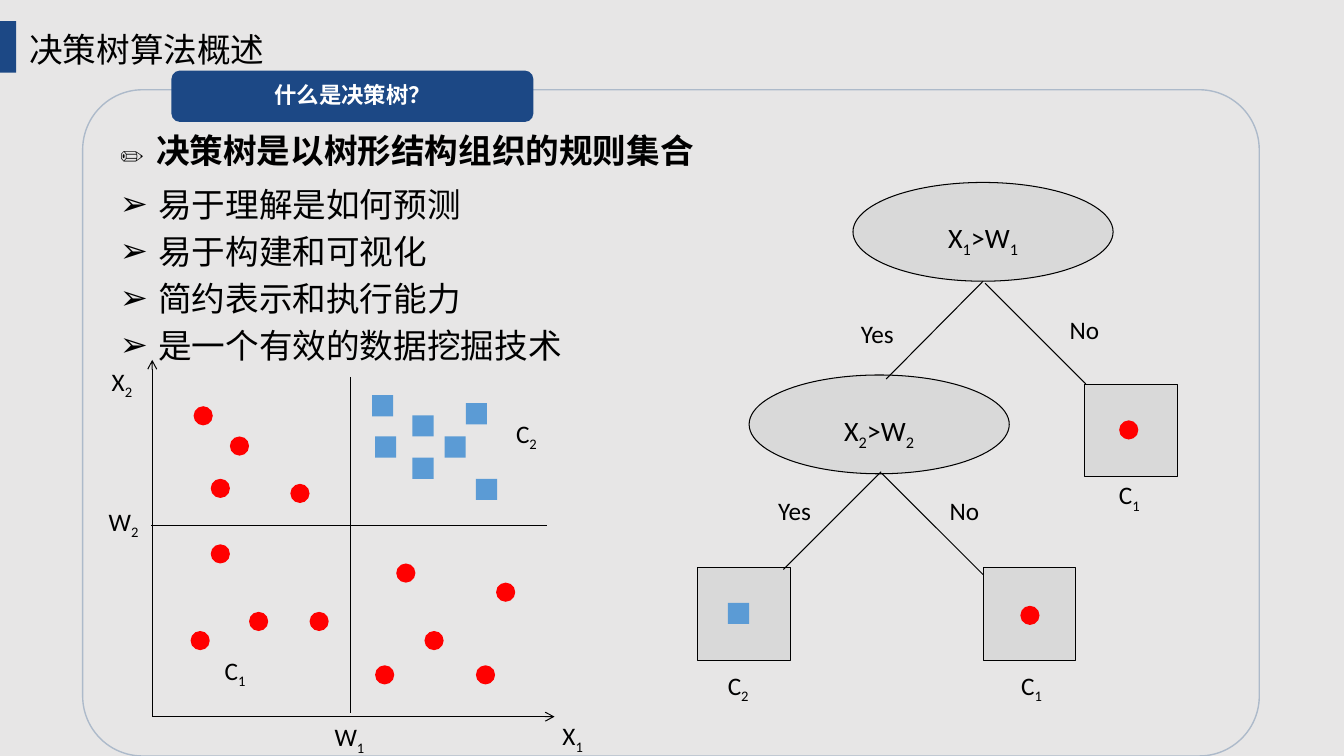
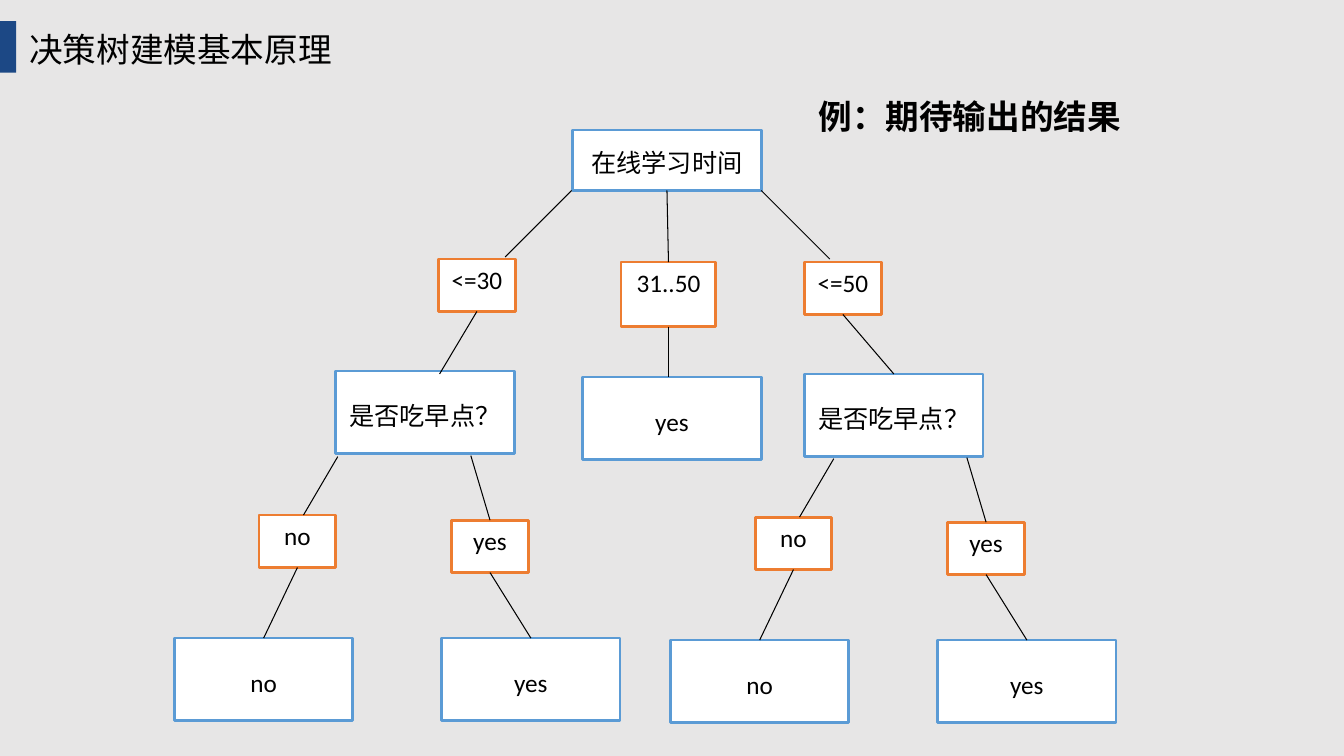
from dataclasses import dataclass

from lxml import etree
from pptx import Presentation
from pptx import util as u
from pptx.dml.color import RGBColor
from pptx.enum import shapes, text
from pptx.oxml import ns


@dataclass(frozen=True)
class Theme:
    background: str = "E7E6E6"
    navy: str = "1C4885"
    card_line: str = "ADBACA"
    ink: str = "000000"
    white: str = "FFFFFF"
    gray: str = "D9D9D9"
    blue: str = "5B9BD5"
    orange: str = "ED7D31"
    red: str = "FF0000"
    latin: str = "Calibri"
    heading: str = "Arial"
    chinese: str = "Noto Sans CJK SC"
    large: int = 24
    node: int = 20
    label: int = 18
    tab: int = 16
    thin: float = 0.75
    thick: float = 2


THEME = Theme()
RECT = shapes.MSO_SHAPE.RECTANGLE
ROUND = shapes.MSO_SHAPE.ROUNDED_RECTANGLE
OVAL = shapes.MSO_SHAPE.OVAL
LEFT, CENTER = text.PP_ALIGN.LEFT, text.PP_ALIGN.CENTER
TOP, MIDDLE = text.MSO_ANCHOR.TOP, text.MSO_ANCHOR.MIDDLE
TOP_SIDE, BOTTOM_SIDE = 0, 2

BENEFITS = ["易于理解是如何预测", "易于构建和可视化", "简约表示和执行能力", "是一个有效的数据挖掘技术"]

AXES = [((1.51, 7.11), (1.51, 3.57)), ((1.51, 7.11), (5.5, 7.11))]
SPLITS = [((3.48, 3.74), (3.48, 7.07)), ((1.5, 5.21), (5.43, 5.21))]
SQUARES = [(3.69, 3.92), (4.09, 4.12), (3.72, 4.33), (4.09, 4.54), (4.62, 4),
           (4.72, 4.75), (4.41, 4.33), (7.22, 5.98)]
DOTS = [(1.92, 4.03), (2.28, 4.33), (2.09, 4.75), (2.88, 4.8), (2.09, 5.4),
        (2.47, 6.07), (1.89, 6.26), (3.07, 6.07), (3.93, 5.59), (4.21, 6.26),
        (3.72, 6.6), (4.92, 5.78), (4.72, 6.6), (10.12, 6.01), (11.1, 4.17)]
LABELS = [("W_1", 3.22, 7.13), ("X_2", 1.01, 3.6), ("C_1", 2.13, 6.47), ("W_2", 0.98, 4.99),
          ("C_2", 5.02, 4.12), ("X_1", 5.48, 7.12), ("C_1", 11, 4.73), ("No", 10.51, 3.07),
          ("Yes", 8.44, 3.11), ("Yes", 7.62, 4.86), ("No", 9.32, 4.86), ("C_1", 10.03, 6.62),
          ("C_2", 7.12, 6.62)]
TESTS = [("X_1>W_1", 8.46, 1.81), ("X_2>W_2", 7.43, 3.72)]
LEAVES = [(6.92, 5.63), (9.75, 5.63), (10.76, 3.81)]
BRANCHES = [((9.75, 2.79), (8.79, 3.76)), ((9.77, 2.81), (10.77, 3.81)),
            ((8.74, 4.68), (7.77, 5.65)), ((8.75, 4.7), (9.75, 5.7))]

ANSWER_SIZE, CHOICE_SIZE = (1.77, 0.82), (0.76, 0.52)
QUESTION = "是否吃早点？"
TREE_CHOICES = {
    "low": ("<=30", 4.35, 2.57, *CHOICE_SIZE),
    "mid": ("31..50", 6.16, 2.6, 0.94, 0.64),
    "high": ("<=50", 7.98, 2.6, *CHOICE_SIZE),
}
TREE_ANSWERS = {
    "left": (QUESTION, 3.33, 3.68, *ANSWER_SIZE),
    "right": (QUESTION, 7.98, 3.71, *ANSWER_SIZE),
    "middle": ("yes", 5.78, 3.74, *ANSWER_SIZE),
}
TREE_EDGES = [
    (("root", BOTTOM_SIDE), ("mid", TOP_SIDE)),
    ((5.67, 1.89), (5.01, 2.55)),
    ((7.55, 1.89), (8.23, 2.57)),
    (("low", BOTTOM_SIDE), (4.36, 3.71)),
    (("high", BOTTOM_SIDE), ("right", TOP_SIDE)),
    (("mid", BOTTOM_SIDE), (6.63, 3.74)),
]
SUBTREE_OFFSETS = [(0, 0), (4.92, 0.02)]
SUBTREE = [
    ("no", (2.57, 5.11), (1.73, 6.33), (3.35, 4.53), (3.01, 5.11)),
    ("yes", (4.48, 5.16), (4.38, 6.33), (4.67, 4.52), None),
]


def color(value):
    return RGBColor.from_string(value)


def add_run(paragraph, content, size, font, ink, bold, subscript=False):
    run = paragraph.add_run()
    run.text = content
    run.font.size = u.Pt(size)
    run.font.name = font
    run.font.bold = bold
    run.font.color.rgb = color(ink)
    properties = run.font._element
    properties.set("lang", "zh-CN")
    if subscript:
        properties.set("baseline", "-25000")
    etree.SubElement(properties, ns.qn("a:ea")).set("typeface", font)


def write(shape, content, size, font=THEME.latin, ink=THEME.ink, bold=False,
          align=LEFT, anchor=MIDDLE, spacing=None):
    frame = shape.text_frame
    frame.word_wrap = True
    frame.auto_size = text.MSO_AUTO_SIZE.NONE
    frame.vertical_anchor = anchor
    paragraph = frame.paragraphs[0]
    paragraph.alignment = align
    if spacing:
        paragraph.line_spacing = spacing
    first, *rest = content.split("_")
    add_run(paragraph, first, size, font, ink, bold)
    for part in rest:
        add_run(paragraph, part[0], size, font, ink, bold, subscript=True)
        if part[1:]:
            add_run(paragraph, part[1:], size, font, ink, bold)


def place(shape, *box):
    shape.left, shape.top, shape.width, shape.height = map(u.Inches, box)


def add_text(slide, content, box, size, **style):
    write(slide.shapes.add_textbox(*map(u.Inches, box)), content, size, **style)


def add_box(slide, kind, box, fill=None, line=None, width=THEME.thin):
    shape = slide.shapes.add_shape(kind, *map(u.Inches, box))
    shape.shadow.inherit = False
    if fill:
        shape.fill.solid()
        shape.fill.fore_color.rgb = color(fill)
    else:
        shape.fill.background()
    if line:
        shape.line.color.rgb = color(line)
        shape.line.width = u.Pt(width)
    else:
        shape.line.fill.background()
    return shape


def add_line(slide, start, end, arrow=False):
    connector = slide.shapes.add_connector(
        shapes.MSO_CONNECTOR.STRAIGHT, *map(u.Inches, (*start, *end)))
    connector.line.color.rgb = color(THEME.ink)
    connector.line.width = u.Pt(THEME.thin)
    if arrow:
        line = connector.line._get_or_add_ln()
        etree.SubElement(line, ns.qn("a:tailEnd")).set("type", "arrow")
    etree.SubElement(connector._element.spPr, ns.qn("a:effectLst"))


def add_edge(slide, nodes, start, end):
    connector = slide.shapes.add_connector(shapes.MSO_CONNECTOR.STRAIGHT, 0, 0, 0, 0)
    if isinstance(start[0], str):
        connector.begin_connect(nodes[start[0]], start[1])
    else:
        connector.begin_x, connector.begin_y = map(u.Inches, start)
    if isinstance(end[0], str):
        connector.end_connect(nodes[end[0]], end[1])
    else:
        connector.end_x, connector.end_y = map(u.Inches, end)
    connector.line.color.rgb = color(THEME.ink)
    connector.line.width = u.Pt(THEME.thin)
    etree.SubElement(connector._element.spPr, ns.qn("a:effectLst"))


def add_titled_slide(presentation, layout, title):
    slide = presentation.slides.add_slide(presentation.slide_layouts[layout])
    place(slide.shapes.title, 0.19, 0.24, 9, 0.5)
    write(slide.shapes.title, title, THEME.large)
    add_box(slide, RECT, (0, 0.21, 0.16, 0.51), THEME.navy)
    return slide


def fill_list(body, items):
    place(body, 1.09, 1.77, 8.7, 1.96)
    frame = body.text_frame
    frame.auto_size = text.MSO_AUTO_SIZE.NONE
    for index, item in enumerate(items):
        paragraph = frame.add_paragraph() if index else frame.paragraphs[0]
        properties = paragraph._p.get_or_add_pPr()
        properties.set("marL", str(u.Inches(0.38)))
        properties.set("indent", str(u.Inches(-0.38)))
        etree.SubElement(properties, ns.qn("a:buFont")).set("typeface", THEME.heading)
        etree.SubElement(properties, ns.qn("a:buChar")).set("char", "➢")
        paragraph.line_spacing = u.Pt(28.8)
        paragraph.space_before = u.Pt(4.8 if index else 0)
        add_run(paragraph, item, THEME.large, THEME.chinese, THEME.ink, False)


def build_overview(presentation):
    slide = add_titled_slide(presentation, 1, "决策树算法概述")
    card = add_box(slide, ROUND, (0.82, 0.89, 11.67, 6.61), line=THEME.card_line, width=1)
    card.adjustments[0] = 0.09
    add_box(slide, ROUND, (1.7, 0.7, 3.59, 0.51), THEME.navy)
    add_text(slide, "什么是决策树？", (1.97, 0.75, 3.06, 0.37), THEME.tab,
             font=THEME.heading, ink=THEME.white, bold=True, align=CENTER)
    add_text(slide, "✏", (1.09, 1.34, 0.46, 0.4), THEME.label, font=THEME.heading)
    add_text(slide, "决策树是以树形结构组织的规则集合", (1.45, 1.24, 8.7, 0.5),
             THEME.large, font=THEME.heading, bold=True)
    fill_list(slide.placeholders[1], BENEFITS)

    for start, end in AXES:
        add_line(slide, start, end, arrow=True)
    for x, y in LEAVES:
        add_box(slide, RECT, (x, y, 0.92, 0.92), THEME.gray, THEME.ink)
    for content, x, y in TESTS:
        ellipse = add_box(slide, OVAL, (x, y, 2.58, 0.98), THEME.gray, THEME.ink)
        write(ellipse, content, THEME.node, align=CENTER, anchor=TOP, spacing=1.5)
    for start, end in SPLITS + BRANCHES:
        add_line(slide, start, end)
    for kind, size, fill, points in ((RECT, 0.21, THEME.blue, SQUARES),
                                     (OVAL, 0.19, THEME.red, DOTS)):
        for x, y in points:
            add_box(slide, kind, (x, y, size, size), fill)
    for content, x, y in LABELS:
        add_text(slide, content, (x, y, 0.6, 0.4), THEME.label)


def add_node(slide, node, line, spacing=None):
    content, *box = node
    shape = add_box(slide, RECT, box, THEME.white, line, THEME.thick)
    write(shape, content, THEME.label, align=CENTER, anchor=TOP, spacing=spacing)
    return shape


def build_example(presentation):
    slide = add_titled_slide(presentation, 5, "决策树建模基本原理")
    choices, answers, edges = dict(TREE_CHOICES), dict(TREE_ANSWERS), list(TREE_EDGES)
    for index, (dx, dy) in enumerate(SUBTREE_OFFSETS):
        def shift(point):
            return point[0] + dx, point[1] + dy

        for content, choice, answer, start, end in SUBTREE:
            choice_key, answer_key = f"choice {content} {index}", f"answer {content} {index}"
            choices[choice_key] = (content, *shift(choice), *CHOICE_SIZE)
            answers[answer_key] = (content, *shift(answer), *ANSWER_SIZE)
            edges.append((shift(start), shift(end) if end else (choice_key, TOP_SIDE)))
            edges.append(((choice_key, BOTTOM_SIDE), (answer_key, TOP_SIDE)))

    nodes = {"root": add_node(slide, ("在线学习时间", 5.68, 1.29, 1.87, 0.6), THEME.blue, 1.4)}
    for key, node in choices.items():
        nodes[key] = add_node(slide, node, THEME.orange)
    for key, node in answers.items():
        nodes[key] = add_node(slide, node, THEME.blue, 1.8)
    for start, end in edges:
        add_edge(slide, nodes, start, end)
    add_text(slide, "例：期待输出的结果", (8.02, 0.9, 3.47, 0.5), THEME.large, bold=True)


def main():
    presentation = Presentation()
    presentation.slide_width = u.Inches(13.33)
    presentation.slide_height = u.Inches(7.5)
    background = presentation.slide_master.background.fill
    background.solid()
    background.fore_color.rgb = color(THEME.background)
    build_overview(presentation)
    build_example(presentation)
    presentation.save("out.pptx")


if __name__ == "__main__":
    main()
